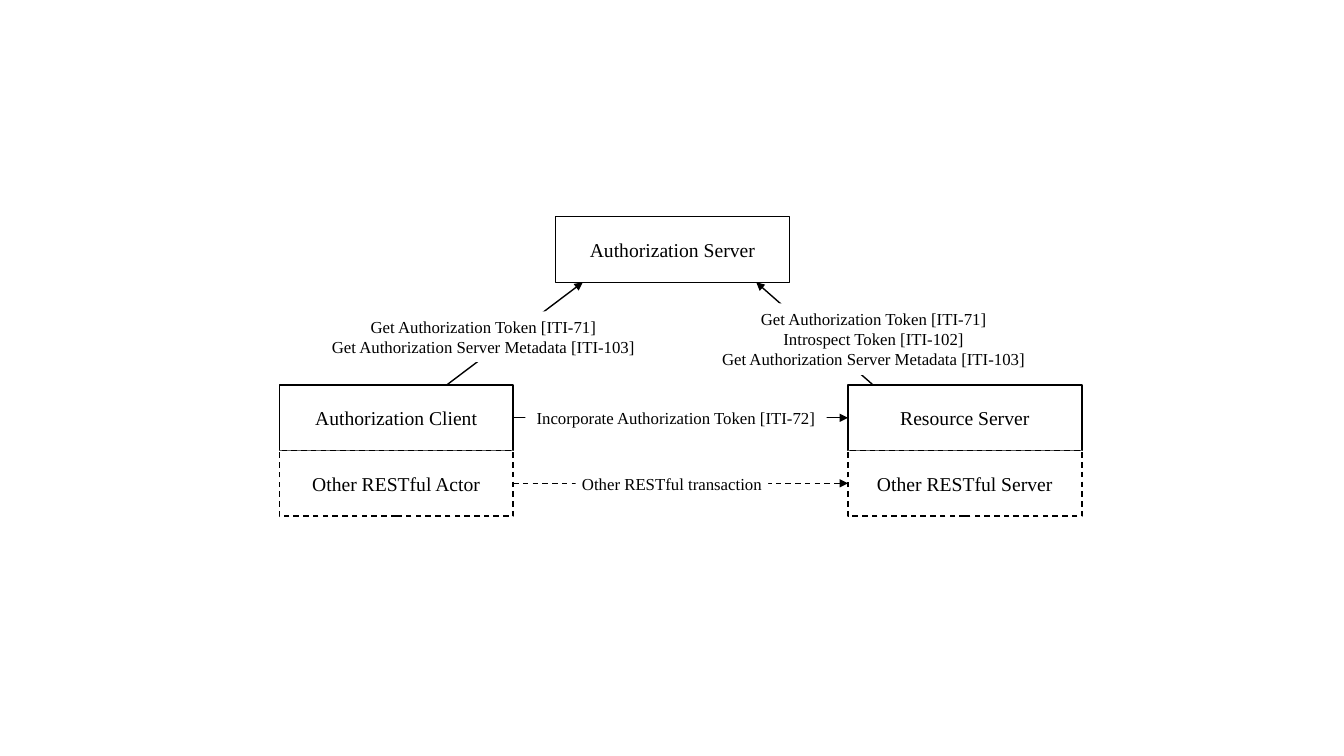
from dataclasses import dataclass

from lxml.etree import SubElement
from pptx import Presentation
from pptx.dml.color import RGBColor
from pptx.enum.dml import MSO_LINE
from pptx.enum.shapes import MSO_CONNECTOR, MSO_SHAPE
from pptx.enum.text import MSO_ANCHOR, MSO_AUTO_SIZE, PP_ALIGN
from pptx.oxml.ns import qn
from pptx.util import Inches, Pt


@dataclass(frozen=True)
class Theme:
    font: str = "Times New Roman"
    ink: RGBColor = RGBColor(0, 0, 0)
    paper: RGBColor = RGBColor(255, 255, 255)
    actor_size: Pt = Pt(14)
    label_size: Pt = Pt(12)
    line_width: Pt = Pt(1)


THEME = Theme()
ACTOR_WIDTH, ACTOR_HEIGHT = 2.32, 0.65
CLIENT_LEFT, SERVER_LEFT, RESOURCE_LEFT = 2.77, 5.51, 8.41
SERVER_TOP, CLIENT_TOP = 2.15, 3.82
SERVER_BOTTOM = SERVER_TOP + ACTOR_HEIGHT
OTHER_TOP = CLIENT_TOP + ACTOR_HEIGHT
LEFT_SIDE, RIGHT_SIDE = 1, 3


def style_line(line, dashed):
    line.color.rgb = THEME.ink
    line.width = THEME.line_width
    if dashed:
        line.dash_style = MSO_LINE.DASH


def write_lines(text_frame, lines, size):
    text_frame.text = "\n".join(lines)
    for paragraph in text_frame.paragraphs:
        paragraph.alignment = PP_ALIGN.CENTER
        paragraph.font.name = THEME.font
        paragraph.font.size = size
        paragraph.font.color.rgb = THEME.ink


def add_actor(slide, name, left, top, dashed=False):
    shape = slide.shapes.add_shape(
        MSO_SHAPE.RECTANGLE,
        Inches(left), Inches(top), Inches(ACTOR_WIDTH), Inches(ACTOR_HEIGHT),
    )
    shape.shadow.inherit = False
    shape.fill.solid()
    shape.fill.fore_color.rgb = THEME.paper
    style_line(shape.line, dashed)
    shape.text_frame.vertical_anchor = MSO_ANCHOR.MIDDLE
    write_lines(shape.text_frame, [name], THEME.actor_size)
    return shape


def add_arrow(slide, start, end, dashed=False):
    connector = slide.shapes.add_connector(
        MSO_CONNECTOR.STRAIGHT, *(Inches(value) for value in (*start, *end))
    )
    style_line(connector.line, dashed)
    properties = connector._element.spPr
    SubElement(properties.find(qn("a:ln")), qn("a:tailEnd"), type="triangle")
    SubElement(properties, qn("a:effectLst"))
    return connector


def connect_actors(slide, source, target, dashed=False):
    arrow = add_arrow(slide, (0, 0), (1, 1), dashed)
    arrow.begin_connect(source, RIGHT_SIDE)
    arrow.end_connect(target, LEFT_SIDE)


def add_label(slide, lines, left, top, width, height, side_margin=0.1, wrap=True):
    label = slide.shapes.add_textbox(
        Inches(left), Inches(top), Inches(width), Inches(height)
    )
    label.fill.solid()
    label.fill.fore_color.rgb = THEME.paper
    text_frame = label.text_frame
    text_frame.margin_left = text_frame.margin_right = Inches(side_margin)
    text_frame.word_wrap = wrap
    text_frame.auto_size = MSO_AUTO_SIZE.SHAPE_TO_FIT_TEXT
    write_lines(text_frame, lines, THEME.label_size)


def main():
    presentation = Presentation()
    presentation.slide_width = Inches(13.33)
    presentation.slide_height = Inches(7.5)
    slide = presentation.slides.add_slide(presentation.slide_layouts[6])

    add_actor(slide, "Authorization Server", SERVER_LEFT, SERVER_TOP)
    client = add_actor(slide, "Authorization Client", CLIENT_LEFT, CLIENT_TOP)
    resource = add_actor(slide, "Resource Server", RESOURCE_LEFT, CLIENT_TOP)
    other_actor = add_actor(slide, "Other RESTful Actor", CLIENT_LEFT, OTHER_TOP, True)
    other_server = add_actor(slide, "Other RESTful Server", RESOURCE_LEFT, OTHER_TOP, True)

    add_arrow(slide, (4.43, CLIENT_TOP), (5.78, SERVER_BOTTOM))
    add_arrow(slide, (8.66, CLIENT_TOP), (7.5, SERVER_BOTTOM))
    connect_actors(slide, client, resource)
    connect_actors(slide, other_actor, other_server, dashed=True)

    get_token = "Get Authorization Token [ITI-71]"
    get_metadata = "Get Authorization Server Metadata [ITI-103]"
    introspect = "Introspect Token [ITI-102]"
    incorporate = "Incorporate Authorization Token [ITI-72]"
    add_label(slide, [get_token, introspect, get_metadata], 7.04, 3.01, 3.25, 0.71, wrap=False)
    add_label(slide, [get_token, get_metadata], 3.17, 3.09, 3.25, 0.5, wrap=False)
    add_label(slide, [incorporate], 5.21, 4, 2.99, 0.3, side_margin=0)
    add_label(slide, ["Other RESTful transaction"], 5.71, 4.65, 1.91, 0.3, side_margin=0.04)

    presentation.save("out.pptx")


main()
